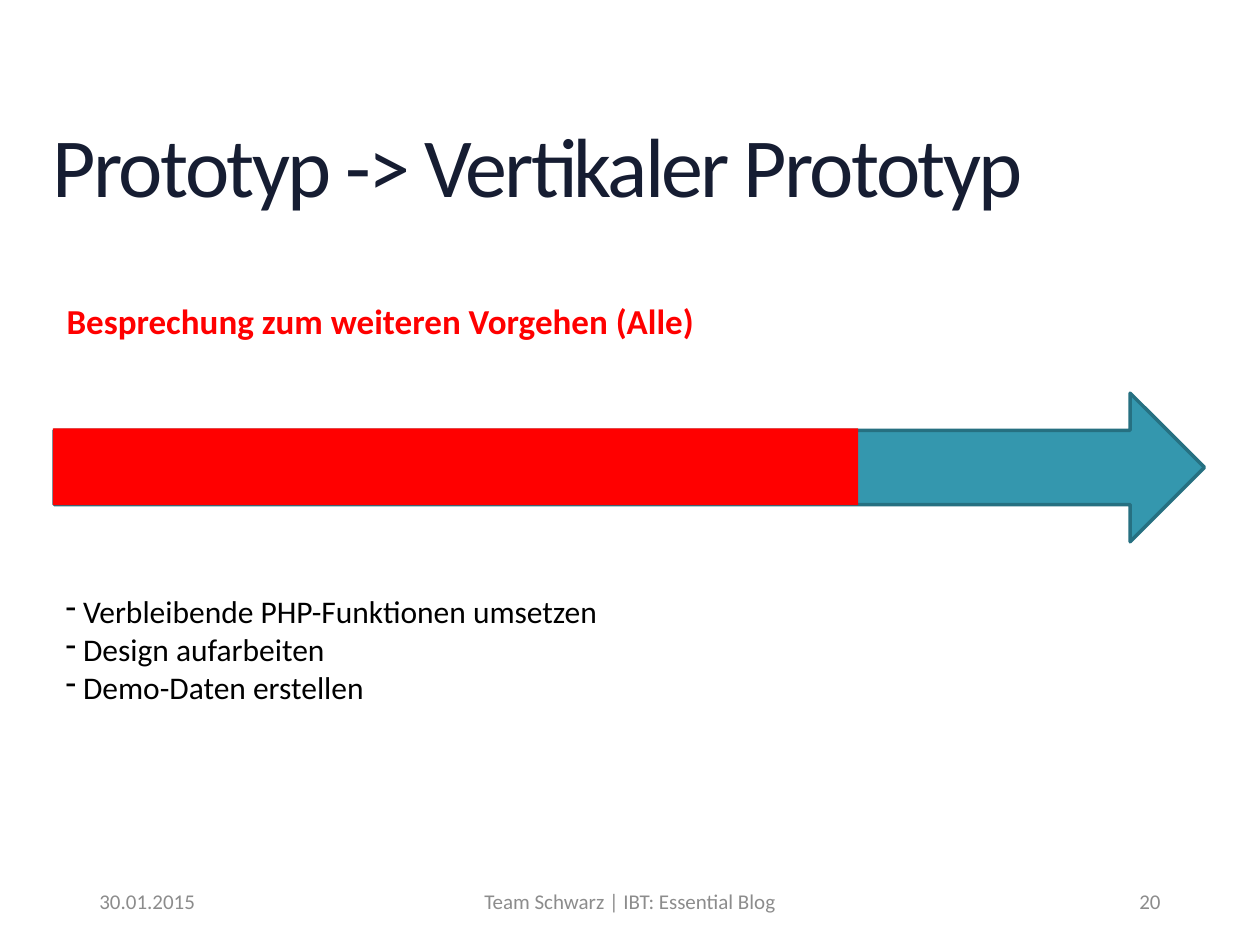
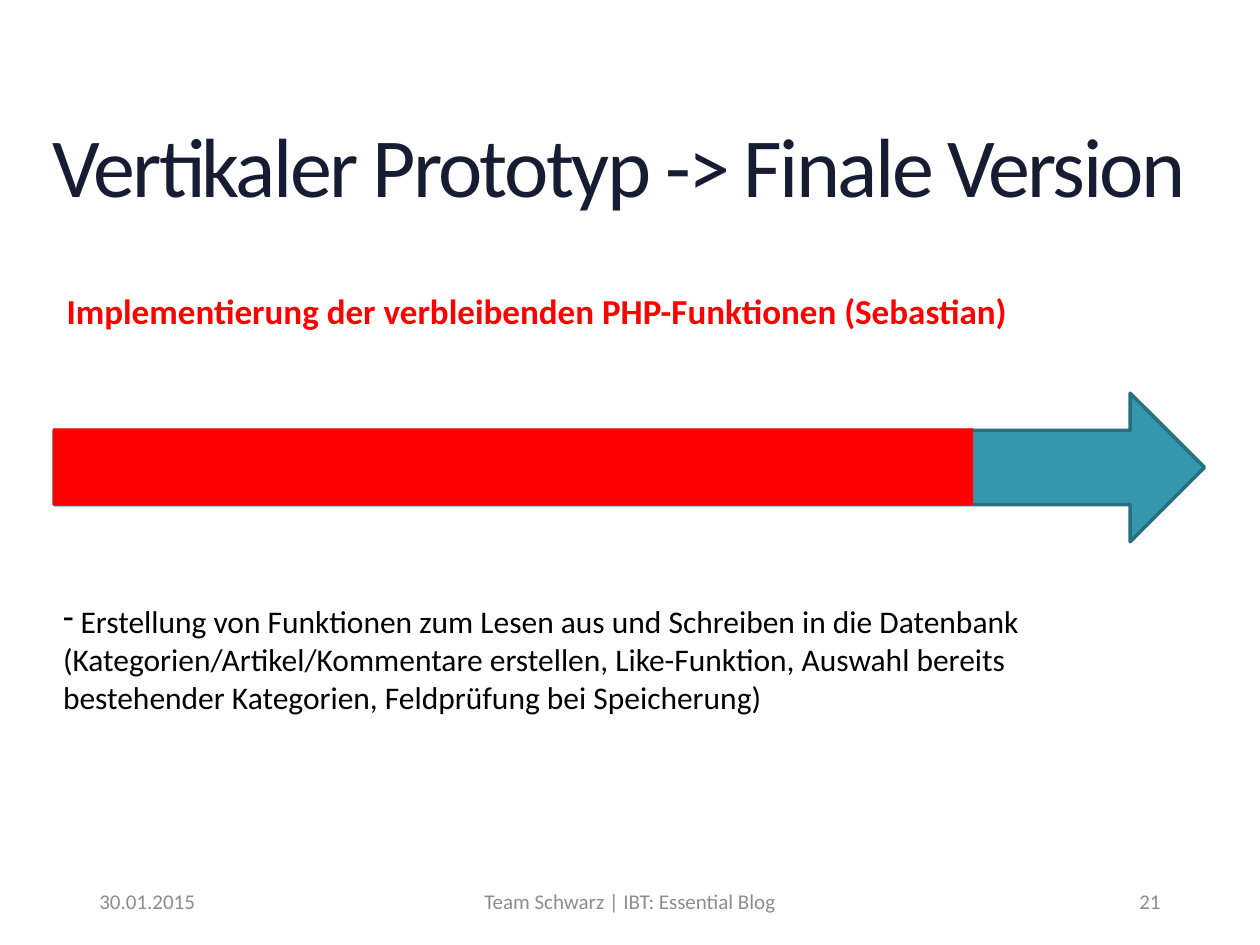
from lxml import etree
from pptx import Presentation
from pptx.dml.color import RGBColor
from pptx.enum.shapes import MSO_SHAPE
from pptx.enum.text import MSO_ANCHOR, MSO_AUTO_SIZE, PP_ALIGN
from pptx.oxml.ns import qn
from pptx.util import Inches, Pt

ARROW, RECT = MSO_SHAPE.RIGHT_ARROW, MSO_SHAPE.RECTANGLE
TOP, MIDDLE = MSO_ANCHOR.TOP, MSO_ANCHOR.MIDDLE
LEFT, CENTER, RIGHT = PP_ALIGN.LEFT, PP_ALIGN.CENTER, PP_ALIGN.RIGHT
NO_FIT = MSO_AUTO_SIZE.NONE

FONT = "Calibri"
NAVY, RED, TEAL, EDGE = "161D32", "FF0000", "3497AE", "267081"
BLACK, GREY = "000000", "8C8C8C"
LINE = 9.13  # length of the time arrow


def paint(target, color):
    """Give a fill a solid colour from a hex string."""
    target.solid()
    target.fore_color.rgb = RGBColor.from_string(color)


def write(shape, box, lines, size, color, bold=False, align=LEFT, anchor=TOP,
          inset=(0.1, 0.05), lead=1.0, track=0, bullet=None):
    """Place a text shape at box and fill it with formatted paragraphs."""
    shape.left, shape.top, shape.width, shape.height = map(Inches, box)
    frame = shape.text_frame
    frame.word_wrap, frame.auto_size = True, NO_FIT
    frame.vertical_anchor = anchor
    frame.margin_left = frame.margin_right = Inches(inset[0])
    frame.margin_top = frame.margin_bottom = Inches(inset[1])
    for i, line in enumerate(lines):
        para = frame.add_paragraph() if i else frame.paragraphs[0]
        para.alignment, para.line_spacing = align, lead
        para.space_before = Pt(0)
        run = para.add_run()
        run.text = line
        font = run.font
        font.name, font.size, font.bold = FONT, Pt(size), bold
        paint(font.fill, color)
        if track:
            run._r.get_or_add_rPr().set("spc", str(round(track * 100)))
        if bullet:
            props = para._p.get_or_add_pPr()
            props.set("marL", "0")
            props.set("indent", "0")
            etree.SubElement(props, qn("a:buFontTx"))
            etree.SubElement(props, qn("a:buChar")).set("char", bullet)


# title, task, top of task, share of time passed, steps, place of steps
stages = [
    ("Prototyp -> Vertikaler Prototyp",
     "Besprechung zum weiteren Vorgehen (Alle)", 2.33, 0.7,
     [" Verbleibende PHP-Funktionen umsetzen", " Design aufarbeiten",
      " Demo-Daten erstellen"], (0.42, 4.65)),
    ("Vertikaler Prototyp -> Finale Version",
     "Implementierung der verbleibenden PHP-Funktionen (Sebastian)", 2.25, 0.8,
     [" Erstellung von Funktionen zum Lesen aus und Schreiben in die Datenbank "
      "(Kategorien/Artikel/Kommentare erstellen, Like-Funktion, Auswahl bereits "
      "bestehender Kategorien, Feldprüfung bei Speicherung)"], (0.4, 4.73)),
]

deck = Presentation()
deck.slide_width, deck.slide_height = Inches(10), Inches(7.5)

for page, (title, task, top, share, steps, place) in enumerate(stages, 20):
    slide = deck.slides.add_slide(deck.slide_layouts[1])
    shapes = slide.shapes
    head, body = slide.placeholders

    footer = [("30.01.2015", 0.69, 2.25, LEFT),
              ("Team Schwarz | IBT: Essential Blog", 3.31, 3.38, CENTER),
              (str(page), 7.06, 2.25, RIGHT)]
    for text, x, width, align in footer:
        write(shapes.add_textbox(0, 0, 0, 0), (x, 6.95, width, 0.4), [text],
              12, GREY, align=align, anchor=MIDDLE)

    write(head, (0.42, 0.99, 9.17, 0.73), [title], 48, NAVY,
          inset=(0, 0), lead=0.9, track=-1.5)
    write(shapes.add_textbox(0, 0, 0, 0), (0.43, top, LINE, 0.44), [task],
          20, RED, bold=True)
    write(body, (*place, 8.98, 1.01), steps, 18, BLACK, bullet="-")

    arrow = shapes.add_shape(ARROW, Inches(0.43), Inches(3.12),
                             Inches(LINE), Inches(1.18))
    paint(arrow.fill, TEAL)
    paint(arrow.line.fill, EDGE)
    arrow.line.width = Pt(2)
    done = shapes.add_shape(RECT, Inches(0.42), Inches(3.4),
                            Inches(LINE * share), Inches(0.61))
    paint(done.fill, RED)
    done.line.fill.background()
    for shape in (arrow, done):
        shape.shadow.inherit = False

deck.save("out.pptx")
